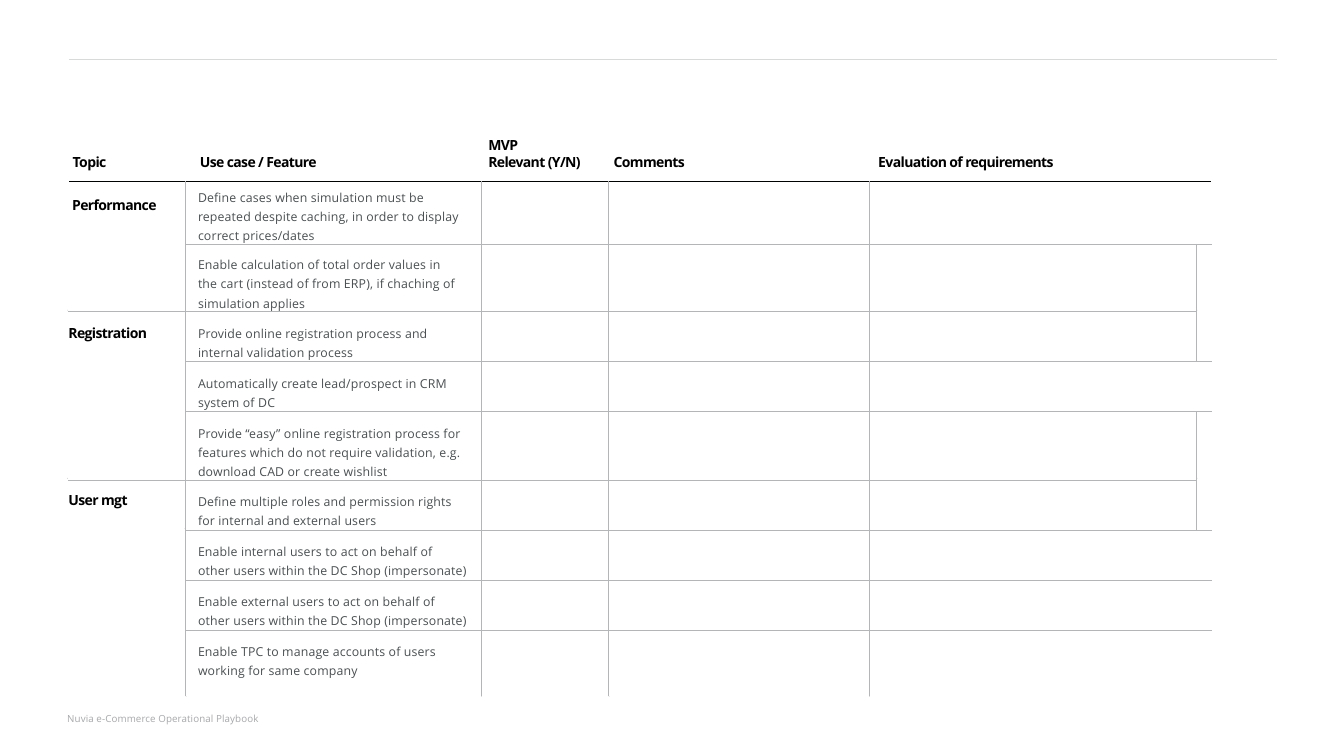
"""Build the requirements table slide of an e-commerce playbook."""
from copy import deepcopy
from itertools import accumulate, product

from lxml import etree
from pptx import Presentation
from pptx import util as u
from pptx.dml.color import RGBColor
from pptx.enum import shapes, text
from pptx.oxml.ns import qn

In = u.Inches
FONT = "Open Sans"
BLACK, GREY, RULE, LINE = "000000", "4B4F51", "D8DAD9", "B4B5B7"
HEADER = {"size": 16.5, "color": BLACK, "bold": True, "spc": -70}
FEATURE = {"size": 14.5, "color": GREY, "spc": 18, "spacing": 1.14}
FOOTER = {"size": 11.5, "color": "A7A8AA", "spc": 10}

LABELS = [
    ("Topic", 1.19, 2.51, 0.62, 0.3, 0.01, HEADER),
    ("Use case / Feature", 3.27, 2.51, 2.07, 0.3, 0.01, HEADER),
    ("MVP\nRelevant (Y/N)", 7.99, 2.23, 1.61, 0.58, 0.01, {**HEADER, "spacing": u.Pt(19.8)}),
    ("Comments", 10.04, 2.51, 1.24, 0.3, 0.01, HEADER),
    ("Evaluation of requirements", 14.37, 2.51, 3.07, 0.3, 0.01, HEADER),
    ("Nuvia e-Commerce Operational Playbook", 1.1, 11.63, 3.22, 0.25, 0.03, FOOTER),
]
LEFT, TOP = 1.12, 2.96
COLS = [1.92, 4.83, 2.09, 4.26, 5.36, 0.13]
ROWS = [
    (1.02, 0.1, "Define cases when simulation must be\vrepeated despite caching, in order to display"
                "\vcorrect prices/dates"),
    (1.09, 0.17, "Enable calculation of total order values in\vthe cart (instead of from ERP), if chaching of"
                 "\vsimulation applies"),
    (0.82, 0.18, "Provide online registration process and\vinternal validation process"),
    (0.82, 0.18, "Automatically create lead/prospect in CRM\vsystem of DC"),
    (1.11, 0.18, "Provide “easy” online registration process for\vfeatures which do not require validation, e.g."
                 "\vdownload CAD or create wishlist"),
    (0.82, 0.18, "Define multiple roles and permission rights\vfor internal and external users"),
    (0.83, 0.18, "Enable internal users to act on behalf of\vother users within the DC Shop (impersonate)"),
    (0.82, 0.17, "Enable external users to act on behalf of\vother users within the DC Shop (impersonate)"),
    (1.08, 0.17, "Enable TPC to manage accounts of users\vworking for same company"),
]
TOPICS = [("Performance", 0, 1, 0.06, 0.24), ("Registration", 2, 4, 0, 0.19), ("User mgt", 5, 8, 0, 0.18)]
NARROW_MERGES = [(1, 2), (4, 5)]
WIDE_ROWS = [0, 3, 6, 7, 8]


def rgb(value):
    return RGBColor.from_string(value)


def write(tf, content, size, color, bold=False, spc=0, spacing=None):
    tf.text = content
    for p in tf.paragraphs:
        p.alignment = text.PP_ALIGN.LEFT
        p.line_spacing = spacing
        for r in p.runs:
            for name, value in {"name": FONT, "size": u.Pt(size), "bold": bold}.items():
                setattr(r.font, name, value)
            r.font.color.rgb = rgb(color)
            r._r.get_or_add_rPr().set("spc", str(spc))
        for br in p._p.findall(qn("a:br")):
            br.insert(0, deepcopy(p.runs[0]._r.rPr))


def set_margins(box, left, top):
    for side, value in {"left": left, "top": top, "right": 0, "bottom": 0}.items():
        setattr(box, f"margin_{side}", In(value))


def add_label(s, content, left, top, width, height, inset, style):
    tf = s.shapes.add_textbox(In(left), In(top), In(width), In(height)).text_frame
    set_margins(tf, 0, inset)
    write(tf, content, **style)


def draw_borders(table, owner):
    sides = [("a:lnL", 0, -1), ("a:lnR", 0, 1), ("a:lnT", -1, 0), ("a:lnB", 1, 0)]
    for row, col in product(range(len(ROWS)), range(len(COLS))):
        cell = table.cell(row, col)
        cell.fill.background()
        lines = []
        for tag, dy, dx in sides:
            near = (row + dy, col + dx)
            top_edge = near[0] < 0
            inside = near[0] < len(ROWS) and 0 <= near[1] < len(COLS)
            if not inside or owner.get(near, near) == owner.get((row, col), (row, col)):
                continue
            ln = etree.Element(qn(tag), w=str(u.Pt(1)))
            fill = etree.SubElement(ln, qn("a:solidFill"))
            etree.SubElement(fill, qn("a:srgbClr"), val="000101" if top_edge else LINE)
            lines.append(ln)
        for i, ln in enumerate(lines):
            cell._tc.get_or_add_tcPr().insert(i, ln)


def add_requirements(s):
    frame = s.shapes.add_table(len(ROWS), len(COLS), In(LEFT), In(TOP), In(sum(COLS)),
                               In(sum(row[0] for row in ROWS)))
    table = frame.table
    table.first_row = table.horz_banding = False
    for column, width in zip(table.columns, COLS):
        column.width = In(width)
    for i, (height, inset, feature) in enumerate(ROWS):
        table.rows[i].height = In(height)
        cell = table.cell(i, 1)
        set_margins(cell, 0.2, inset)
        write(cell.text_frame, feature, **FEATURE)
    for topic, first, last, left, inset in TOPICS:
        cell = table.cell(first, 0)
        set_margins(cell, left, inset)
        write(cell.text_frame, topic, **HEADER)

    merges = [((first, 0), (last, 0)) for _, first, last, _, _ in TOPICS]
    merges += [((first, 5), (last, 5)) for first, last in NARROW_MERGES]
    merges += [((row, 4), (row, 5)) for row in WIDE_ROWS]
    owner = {}
    for start, end in merges:
        table.cell(*start).merge(table.cell(*end))
        for spot in product(range(start[0], end[0] + 1), range(start[1], end[1] + 1)):
            owner[spot] = start
    draw_borders(table, owner)


def add_line_ends(s):
    edges = [LEFT + x for x in accumulate(COLS)]
    levels = [TOP + y for y in accumulate(row[0] for row in ROWS)]
    dots = [(x, levels[-1] + 0.02) for x in edges[:4]]
    dots += list(product((1.1, edges[4]), (levels[1], levels[4])))
    dots.append((edges[0] - 0.02, levels[5]))
    for x, y in dots:
        sp = s.shapes.add_shape(shapes.MSO_SHAPE.OVAL, In(x), In(y), In(0.01), In(0.01))
        sp.shadow.inherit = False
        sp.fill.solid()
        sp.fill.fore_color.rgb = rgb(LINE)
        sp.line.fill.background()


def main():
    prs = Presentation()
    prs.slide_width, prs.slide_height = In(21.99), In(12.37)
    s = prs.slides.add_slide(prs.slide_layouts[6])
    rule = s.shapes.add_connector(shapes.MSO_CONNECTOR.STRAIGHT, In(1.13), In(0.96), In(20.89), In(0.96))
    rule.line.color.rgb = rgb(RULE)
    rule.line.width = u.Pt(0.25)
    etree.SubElement(rule._element.spPr, qn("a:effectLst"))
    add_requirements(s)
    add_line_ends(s)
    for label in LABELS:
        add_label(s, *label)
    prs.save("out.pptx")


if __name__ == "__main__":
    main()
